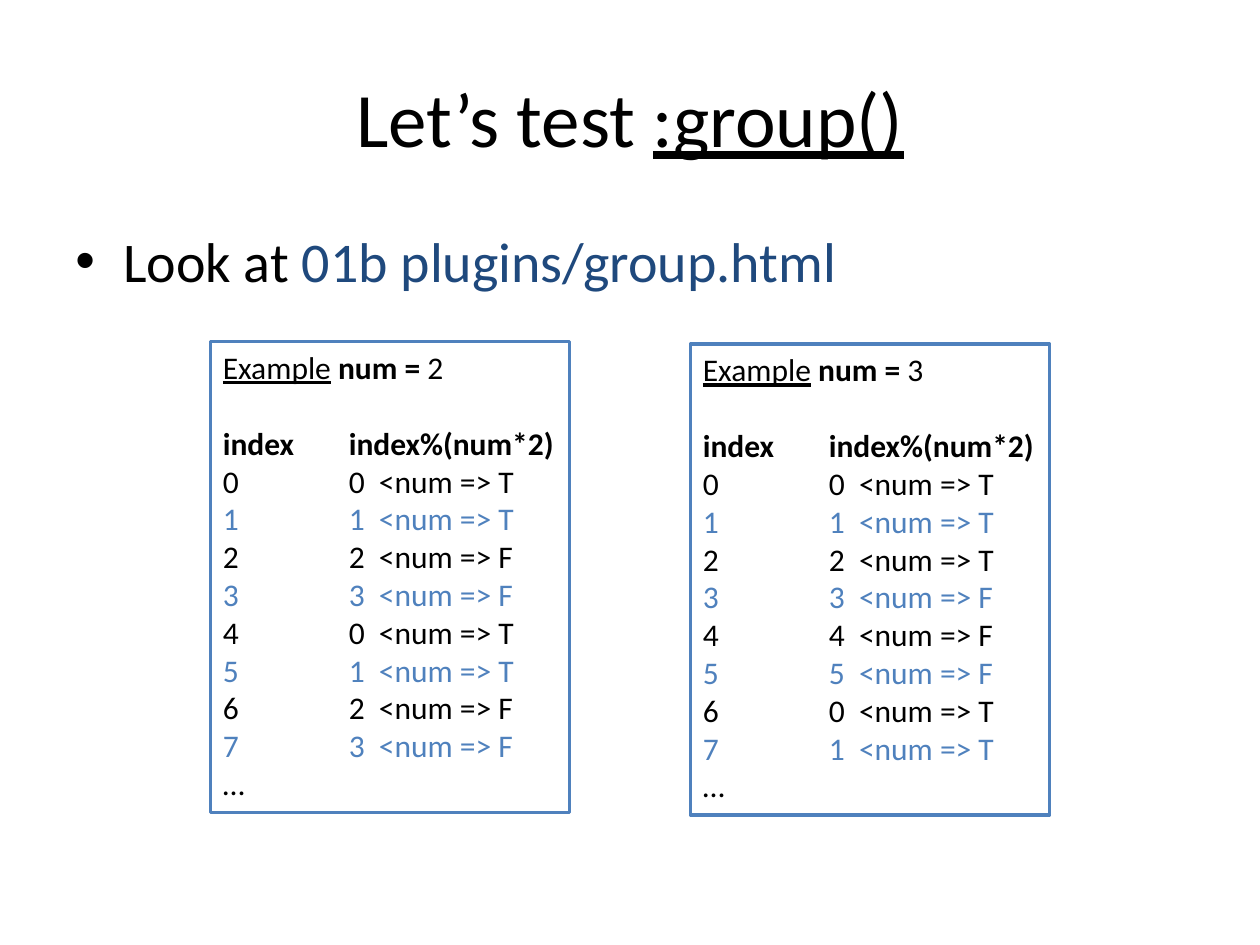
import pptx
import pptx.util
import pptx.dml.color
import pptx.enum.shapes
import pptx.enum.text
import pptx.oxml.ns
from lxml import etree

FONT = "Calibri"
BLACK, WHITE, NAVY, BLUE = "000000", "FFFFFF", "1F497D", "4F81BD"
SLIDE_W, SLIDE_H = 10, 7.5
MARGIN = 0.05 * SLIDE_W
CONTENT_W = SLIDE_W - 2 * MARGIN

# Each run is (text, style), where style may set color, bold and underline.
TITLE = [("Let’s test ", {}), (":group()", {"underline": True})]
BULLET = [("Look at ", {}), ("01b plugins/group.html", {"color": NAVY})]
COLUMN_HEADS = "index\tindex%(num*2)"
INDEX_COUNT = 8

# (num, left, top)
EXAMPLES = [(3, 5.48, 2.73), (2, 1.67, 2.71)]
EXAMPLE_W, EXAMPLE_H = 2.85, 3.74
EXAMPLE_SIZE = 18
HEADING_GAP = 21.9  # one text line, in points
COLUMN_TAB = 1


def rgb(color):
    return pptx.dml.color.RGBColor.from_string(color)


def inches(*lengths):
    return [pptx.util.Inches(length) for length in lengths]


def write_paragraph(paragraph, runs, size):
    paragraph.font.name = FONT
    paragraph.font.size = pptx.util.Pt(size)
    paragraph.font.color.rgb = rgb(BLACK)
    for text, style in runs:
        run = paragraph.add_run()
        run.text = text
        run.font.name = FONT
        run.font.size = pptx.util.Pt(size)
        run.font.color.rgb = rgb(style.get("color", BLACK))
        run.font.bold = style.get("bold")
        run.font.underline = style.get("underline")


def add_line_of_text(slide, top, height, runs, size):
    frame = slide.shapes.add_textbox(
        *inches(MARGIN, top, CONTENT_W, height)).text_frame
    frame.word_wrap = True
    write_paragraph(frame.paragraphs[0], runs, size)
    return frame


def add_property(paragraph, tag, **attributes):
    """Add a paragraph property ahead of the default run properties."""
    element = etree.Element(pptx.oxml.ns.qn(tag), **attributes)
    defaults = paragraph._p.pPr.find(pptx.oxml.ns.qn("a:defRPr"))
    defaults.addprevious(element)
    return element


def add_bullet(paragraph, indent):
    properties = paragraph._p.get_or_add_pPr()
    properties.set("marL", str(pptx.util.Inches(indent)))
    properties.set("indent", str(-pptx.util.Inches(indent)))
    add_property(paragraph, "a:buFont", typeface="Arial")
    add_property(paragraph, "a:buChar", char="•")


def add_tab_stop(paragraph, position):
    stops = add_property(paragraph, "a:tabLst")
    etree.SubElement(stops, pptx.oxml.ns.qn("a:tab"),
                     pos=str(pptx.util.Inches(position)), algn="l")


def example_lines(num):
    """Heading, column heads, one line per index, and the closing ellipsis."""
    lines = [
        [("Example", {"underline": True}), (" ", {}),
         ("num = ", {"bold": True}), (str(num), {})],
        [(COLUMN_HEADS, {"bold": True})],
    ]
    for index in range(INDEX_COUNT):
        remainder = index % (num * 2)
        verdict = "T" if remainder < num else "F"
        color = BLUE if index % 2 else BLACK
        lines.append([(f"{index}\t{remainder}  <num => {verdict}",
                       {"color": color})])
    return lines + [[("…", {})]]


def add_example(slide, num, left, top):
    box = slide.shapes.add_shape(
        pptx.enum.shapes.MSO_SHAPE.RECTANGLE,
        *inches(left, top, EXAMPLE_W, EXAMPLE_H))
    box.shadow.inherit = False
    box.fill.solid()
    box.fill.fore_color.rgb = rgb(WHITE)
    box.line.color.rgb = rgb(BLUE)
    box.line.width = pptx.util.Pt(2)
    frame = box.text_frame
    frame.word_wrap = False
    frame.auto_size = pptx.enum.text.MSO_AUTO_SIZE.SHAPE_TO_FIT_TEXT
    frame.vertical_anchor = pptx.enum.text.MSO_ANCHOR.TOP
    for number, runs in enumerate(example_lines(num)):
        paragraph = frame.add_paragraph() if number else frame.paragraphs[0]
        paragraph.alignment = pptx.enum.text.PP_ALIGN.LEFT
        write_paragraph(paragraph, runs, EXAMPLE_SIZE)
        add_tab_stop(paragraph, COLUMN_TAB)
    frame.paragraphs[0].space_after = pptx.util.Pt(HEADING_GAP)


def main():
    deck = pptx.Presentation()
    deck.slide_width, deck.slide_height = inches(SLIDE_W, SLIDE_H)
    slide = deck.slides.add_slide(deck.slide_layouts[6])

    title = add_line_of_text(slide, 0.3, 1.25, TITLE, 44)
    title.vertical_anchor = pptx.enum.text.MSO_ANCHOR.MIDDLE
    title.paragraphs[0].alignment = pptx.enum.text.PP_ALIGN.CENTER

    body = add_line_of_text(slide, 1.75, 4.95, BULLET, 32)
    add_bullet(body.paragraphs[0], 0.38)

    for num, left, top in EXAMPLES:
        add_example(slide, num, left, top)

    deck.save("out.pptx")


if __name__ == "__main__":
    main()
